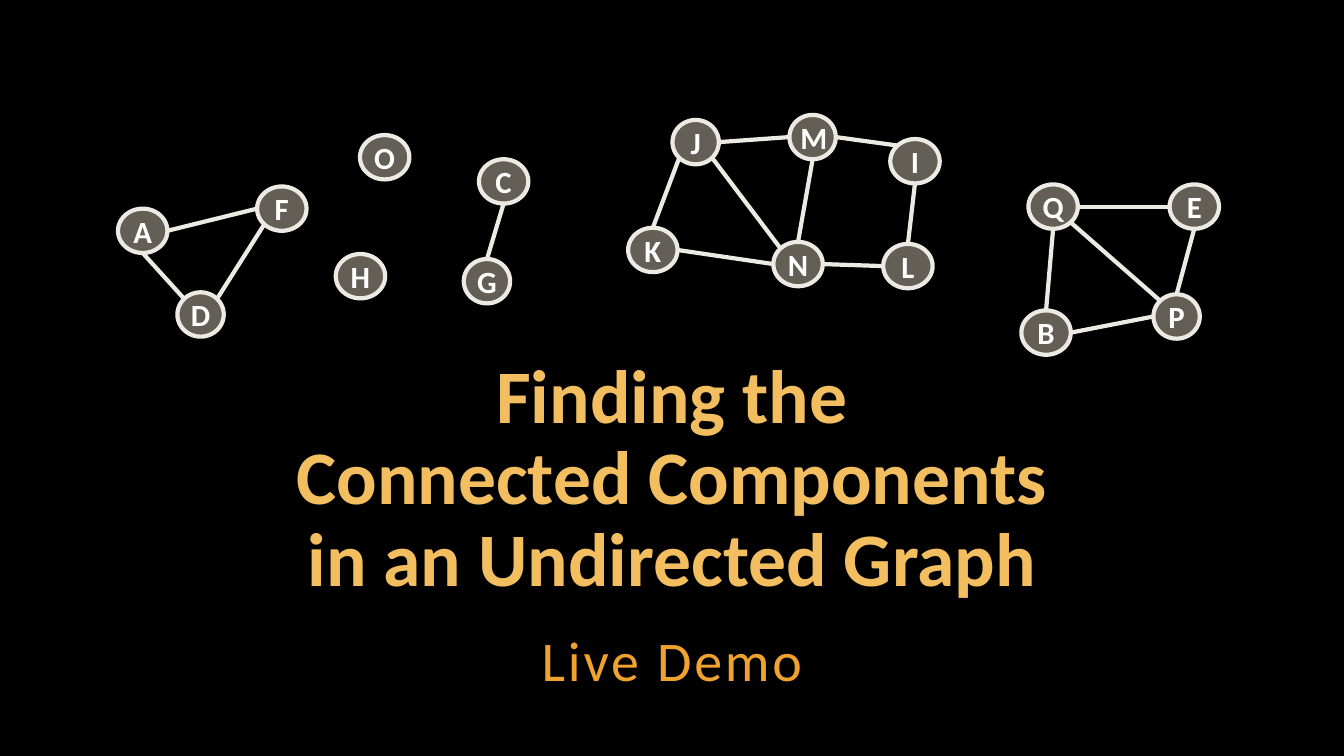
import pptx
import pptx.dml.color
import pptx.enum.shapes
import pptx.enum.text
import pptx.util
from lxml import etree
from pptx.oxml.ns import qn

Inches, Pt = pptx.util.Inches, pptx.util.Pt
RGB = pptx.dml.color.RGBColor.from_string
ANCHOR = pptx.enum.text.MSO_ANCHOR
COLORS = {"background": "000000", "title": "F3BE60", "subtitle": "F0A22E",
          "node": "C7BFAC", "line": "ECEAE3", "label": "FFFFFF"}
NODE_HEIGHT = 0.44
DIAGONAL = 0.71

# label: left, top, width
NODES = {
    "A": (1.17, 2.07, 0.49), "F": (2.55, 1.85, 0.49), "D": (1.76, 2.9, 0.46),
    "O": (3.57, 1.34, 0.49), "H": (3.33, 2.52, 0.49),
    "C": (4.75, 1.58, 0.49), "G": (4.6, 2.57, 0.46),
    "J": (6.67, 1.19, 0.46), "M": (7.83, 1.14, 0.46), "I": (8.83, 1.38, 0.49),
    "K": (6.23, 2.26, 0.49), "N": (7.67, 2.4, 0.49), "L": (8.76, 2.42, 0.49),
    "Q": (10.2, 1.83, 0.49), "E": (11.6, 1.83, 0.49),
    "B": (10.13, 3.08, 0.49), "P": (11.44, 2.92, 0.46),
}
# offsets from a node's centre, in half widths and half heights
SIDES = {
    "top": (0, -1), "bottom": (0, 1), "left": (-1, 0), "right": (1, 0),
    "top left": (-DIAGONAL, -DIAGONAL), "top right": (DIAGONAL, -DIAGONAL),
    "bottom left": (-DIAGONAL, DIAGONAL), "bottom right": (DIAGONAL, DIAGONAL),
}
EDGES = [
    ("F", "bottom left", "D", "top right"), ("A", "right", "F", "left"),
    ("D", "top left", "A", "bottom"), ("G", "top", "C", "bottom"),
    ("N", "top left", "J", "bottom right"), ("K", "right", "N", "left"),
    ("J", "bottom left", "K", "top"), ("I", "bottom", "L", "top"),
    ("N", "right", "L", "left"), ("N", "top", "M", "bottom"),
    ("J", "right", "M", "left"), ("I", "top left", "M", "right"),
    ("Q", "bottom", "B", "top"), ("P", "top", "E", "bottom"),
    ("Q", "right", "E", "left"), ("Q", "bottom right", "P", "top left"),
    ("B", "right", "P", "left"),
]


def set_text(sp, text, size, color, bold, anchor, inset_y):
    tf = sp.text_frame
    tf.text = text
    tf.word_wrap = True
    tf.vertical_anchor = anchor
    tf.margin_left = tf.margin_right = Inches(0.04)
    tf.margin_top = tf.margin_bottom = Inches(inset_y)
    p = tf.paragraphs[0]
    p.alignment = pptx.enum.text.PP_ALIGN.CENTER
    p.space_before = Pt(0)
    p.font.name = "Calibri"
    p.font.size = Pt(size)
    p.font.bold = bold
    p.font.color.rgb = RGB(COLORS[color])
    return p


def edge_end(label, side):
    """Return the point on the node's outline at the given side."""
    left, top, width = NODES[label]
    dx, dy = SIDES[side]
    return (Inches(left + width / 2 * (1 + dx)),
            Inches(top + NODE_HEIGHT / 2 * (1 + dy)))


prs = pptx.Presentation()
prs.slide_width, prs.slide_height = Inches(13.33), Inches(7.5)
s = prs.slides.add_slide(prs.slide_layouts[0])
s.background.fill.solid()
s.background.fill.fore_color.rgb = RGB(COLORS["background"])

title, subtitle = s.shapes.title, s.placeholders[1]
for sp, top, height in ((title, 3.49, 2.53), (subtitle, 6.13, 0.79)):
    sp.left, sp.top = Inches(1), Inches(top)
    sp.width, sp.height = Inches(11.33), Inches(height)

p = set_text(title, "Finding the\vConnected Components\vin an Undirected Graph",
             54, "title", True, ANCHOR.BOTTOM, 0.04)
p.line_spacing = 0.9
p = set_text(subtitle, "Live Demo", 40, "subtitle", False, ANCHOR.TOP, 0.04)
p.line_spacing = 1.05
p.space_after = Pt(6)
p.runs[0].font._element.set("spc", "200")
for sp in (title, subtitle):
    sp.text_frame.auto_size = pptx.enum.text.MSO_AUTO_SIZE.SHAPE_TO_FIT_TEXT

for label, (left, top, width) in NODES.items():
    sp = s.shapes.add_shape(pptx.enum.shapes.MSO_SHAPE.OVAL, Inches(left),
                            Inches(top), Inches(width), Inches(NODE_HEIGHT))
    sp.shadow.inherit = False
    sp.fill.solid()
    sp.fill.fore_color.rgb = RGB(COLORS["node"])
    color = sp._element.spPr.find(qn("a:solidFill")).find(qn("a:srgbClr"))
    etree.SubElement(color, qn("a:alpha")).set("val", "50000")
    sp.line.color.rgb = RGB(COLORS["line"])
    sp.line.width = Pt(3)
    set_text(sp, label, 22, "label", True, ANCHOR.MIDDLE, 0.05)

for start, start_side, end, end_side in EDGES:
    line = s.shapes.add_connector(pptx.enum.shapes.MSO_CONNECTOR.STRAIGHT,
                                  *edge_end(start, start_side),
                                  *edge_end(end, end_side))
    line.line.color.rgb = RGB(COLORS["line"])
    line.line.width = Pt(3)
    etree.SubElement(line._element.spPr, qn("a:effectLst"))

prs.save("out.pptx")
